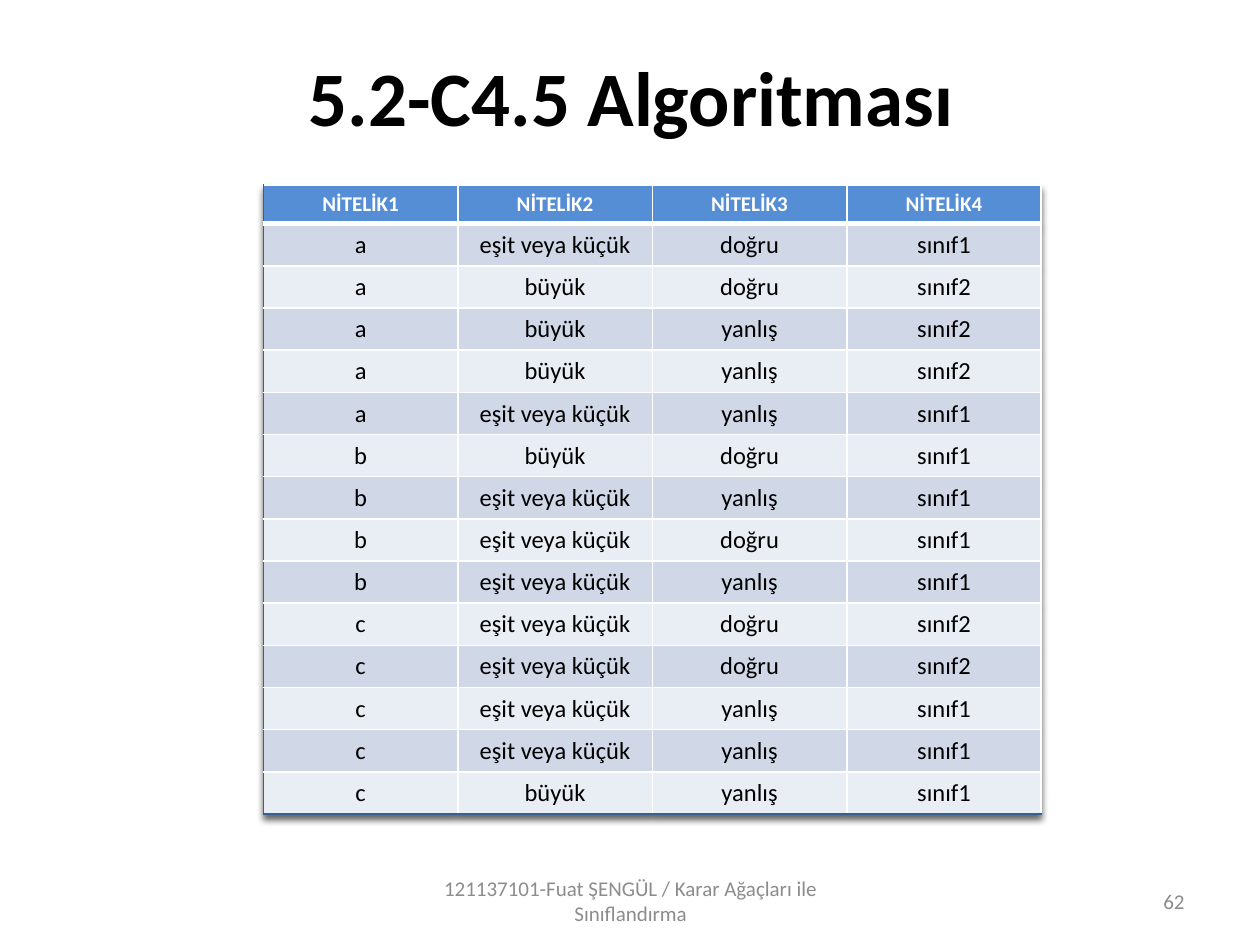
from dataclasses import dataclass

from lxml.etree import SubElement as Sub
from pptx import Presentation
from pptx.dml.color import RGBColor as Rgb
from pptx.enum.text import MSO_ANCHOR as Anchor, PP_ALIGN as Align
from pptx.oxml.ns import qn
from pptx.util import Cm, Pt


@dataclass(frozen=True)
class Theme:
    font: str = "Calibri"
    black: str = "000000"
    white: str = "FFFFFF"
    grey: str = "8C8C8C"
    head: str = "558ED5"
    edge: str = "376092"
    bands: tuple[str, str] = ("D0D8E8", "E9EDF4")
    title: int = 44
    cell: int = 14
    small: int = 12


@dataclass(frozen=True)
class Box:
    x: float
    y: float
    w: float
    h: float

    def size(self) -> tuple[Cm, ...]:
        return Cm(self.x), Cm(self.y), Cm(self.w), Cm(self.h)


@dataclass(frozen=True)
class Note:
    text: str
    box: Box
    align: Align


LOOK = Theme()
TITLE = Box(1.3, 0.33, 22.86, 3.18)
GRID = Box(5.31, 3.73, 15.68, 12.68)
HEAD_H, ROW_H = 0.78, 0.85
NOTES = (
    Note("121137101-Fuat ŞENGÜL / Karar Ağaçları ile Sınıflandırma",
         Box(8.69, 17.65, 8.05, 1.02), Align.CENTER),
    Note("62", Box(18.21, 17.65, 5.92, 1.02), Align.RIGHT),
)
LESS, MORE = "eşit veya küçük", "büyük"
YES, NO = "doğru", "yanlış"
ONE, TWO = "sınıf1", "sınıf2"
ROWS = (
    ("NİTELİK1", "NİTELİK2", "NİTELİK3", "NİTELİK4"),
    ("a", LESS, YES, ONE),
    ("a", MORE, YES, TWO),
    ("a", MORE, NO, TWO),
    ("a", MORE, NO, TWO),
    ("a", LESS, NO, ONE),
    ("b", MORE, YES, ONE),
    ("b", LESS, NO, ONE),
    ("b", LESS, YES, ONE),
    ("b", LESS, NO, ONE),
    ("c", LESS, YES, TWO),
    ("c", LESS, YES, TWO),
    ("c", LESS, NO, ONE),
    ("c", LESS, NO, ONE),
    ("c", MORE, NO, ONE),
)


def write(frame, text: str, size: int, color: str,
          align: Align = Align.CENTER, bold: bool = False) -> None:
    frame.text = text
    para = frame.paragraphs[0]
    para.alignment = align
    font = para.runs[0].font
    font.name, font.size, font.bold = LOOK.font, Pt(size), bold
    font.color.rgb = Rgb.from_string(color)


def add_note(slide, note: Note) -> None:
    frame = slide.shapes.add_textbox(*note.box.size()).text_frame
    frame.word_wrap = True
    frame.vertical_anchor = Anchor.MIDDLE
    write(frame, note.text, LOOK.small, LOOK.grey, note.align)


def add_edge(cell, side: str, color: str, width: int) -> None:
    line = Sub(cell._tc.get_or_add_tcPr(), qn(f"a:ln{side}"), w=str(Pt(width)))
    Sub(Sub(line, qn("a:solidFill")), qn("a:srgbClr"), val=color)


def style_cell(cell, text: str, row: int, col: int) -> None:
    head, last = row == 0, row == len(ROWS) - 1
    add_edge(cell, "L", LOOK.white if col else LOOK.edge, 1)
    add_edge(cell, "R", LOOK.white, 1)
    add_edge(cell, "T", LOOK.white, 3 if row == 1 else 1)
    add_edge(cell, "B", LOOK.edge if last else LOOK.white, 3 if head else 1)
    cell.fill.solid()
    fill = LOOK.head if head else LOOK.bands[(row - 1) % 2]
    cell.fill.fore_color.rgb = Rgb.from_string(fill)
    if head:
        cell.vertical_anchor = Anchor.MIDDLE
        write(cell.text_frame, text, LOOK.small, LOOK.white, bold=True)
    else:
        write(cell.text_frame, text, LOOK.cell, LOOK.black)


def add_shadow(table) -> None:
    props = table._tbl.tblPr
    group = Sub(props, qn("a:effectLst"))
    props.insert(0, group)
    shade = Sub(group, qn("a:outerShdw"), blurRad=str(Pt(4)), dist=str(Pt(3)),
                dir="5400000", algn="t", rotWithShape="0")
    color = Sub(shade, qn("a:srgbClr"), val=LOOK.black)
    Sub(color, qn("a:alpha"), val="60000")


def add_grid(slide) -> None:
    count = len(ROWS[0])
    table = slide.shapes.add_table(len(ROWS), count, *GRID.size()).table
    add_shadow(table)
    for col in table.columns:
        col.width = Cm(GRID.w / count)
    for row, texts in enumerate(ROWS):
        table.rows[row].height = Cm(ROW_H if row else HEAD_H)
        for col, text in enumerate(texts):
            style_cell(table.cell(row, col), text, row, col)


def main() -> None:
    deck = Presentation()
    deck.slide_width, deck.slide_height = Cm(25.4), Cm(19.05)
    slide = deck.slides.add_slide(deck.slide_layouts[5])
    title = slide.shapes.title
    title.left, title.top, title.width, title.height = TITLE.size()
    title.text_frame.vertical_anchor = Anchor.MIDDLE
    write(title.text_frame, "5.2-C4.5 Algoritması", LOOK.title, LOOK.black, bold=True)
    for note in NOTES:
        add_note(slide, note)
    add_grid(slide)
    deck.save("out.pptx")


if __name__ == "__main__":
    main()
